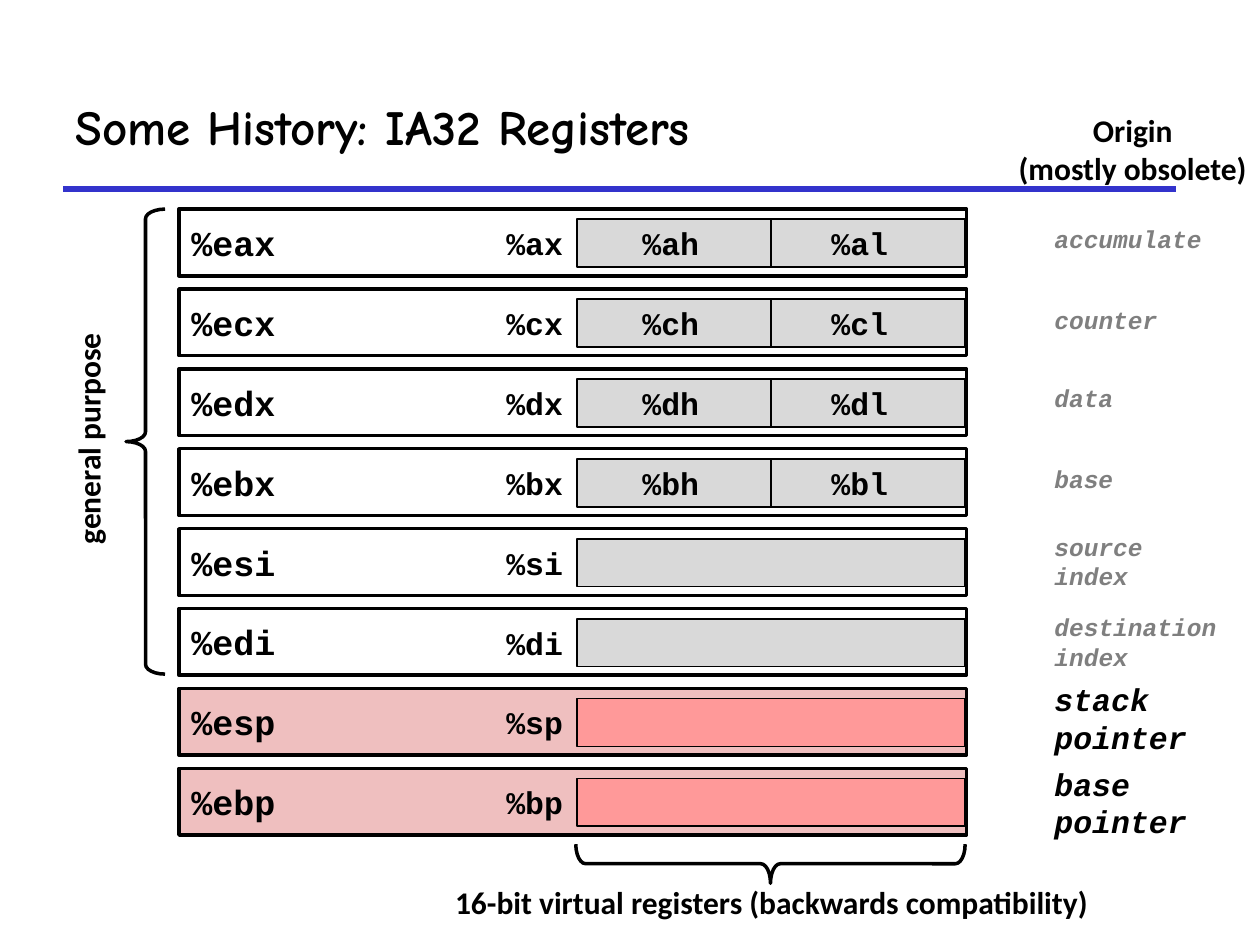
"""Builds the slide on the history of the IA32 registers."""
from lxml.etree import SubElement
from pptx import Presentation
from pptx.dml.color import RGBColor
from pptx.enum.shapes import MSO_CONNECTOR, MSO_SHAPE
from pptx.enum.text import MSO_ANCHOR, MSO_AUTO_SIZE, PP_ALIGN
from pptx.oxml.ns import qn
from pptx.util import Inches, Pt

COLORS = {
    "black": "000000", "white": "FFFFFF", "rule": "3333CC", "muted": "7F7F7F",
    "grey": "D9D9D9", "pink": "EFBFBF", "red": "FF9999",
}
TITLE, SANS, MONO = "Comic Neue", "Calibri", "Courier New"
ROW_TOP, ROW_STEP, ROW_H = 1.66, 0.634, 0.53
LOW_X, LOW_W, LOW_H = 4.58, 3.08, 0.38

REGISTERS = [
    ("%eax", "%ax", ("%ah", "%al"), ["accumulate"], 1.73, 1.37),
    ("%ecx", "%cx", ("%ch", "%cl"), ["counter"], 2.37, 1.02),
    ("%edx", "%dx", ("%dh", "%dl"), ["data"], 2.99, 0.67),
    ("%ebx", "%bx", ("%bh", "%bl"), ["base"], 3.63, 0.67),
    ("%esi", "%si", (), ["source", "index"], 4.17, 1.02),
    ("%edi", "%di", (), ["destination", "index"], 4.81, 1.49),
    ("%esp", "%sp", (), ["stack", "pointer"], 5.35, 1.25),
    ("%ebp", "%bp", (), ["base", "pointer"], 6.02, 1.25),
]


def rgb(name):
    return RGBColor.from_string(COLORS[name])


def write(tf, lines, size, font=MONO, color="black", italic=None, align=PP_ALIGN.LEFT):
    for i, line in enumerate(lines):
        p = tf.paragraphs[0] if i == 0 else tf.add_paragraph()
        p.alignment = align
        r = p.add_run()
        r.text = line
        r.font.name, r.font.size = font, Pt(size)
        r.font.bold, r.font.italic = True, italic
        r.font.color.rgb = rgb(color)


def add_label(s, x, y, w, h, lines, size=18, **style):
    sp = s.shapes.add_textbox(Inches(x), Inches(y), Inches(w), Inches(h))
    tf = sp.text_frame
    tf.word_wrap = False
    tf.auto_size = MSO_AUTO_SIZE.SHAPE_TO_FIT_TEXT
    write(tf, lines, size, **style)
    return sp


def add_title(s, text):
    sp = s.shapes.add_textbox(Inches(0.5), Inches(0.5), Inches(8.83), Inches(1))
    tf = sp.text_frame
    tf.word_wrap = True
    tf.vertical_anchor = MSO_ANCHOR.MIDDLE
    write(tf, [text], 28, font=TITLE)


def add_shape(s, kind, x, y, w, h, width, fill=None):
    sp = s.shapes.add_shape(kind, Inches(x), Inches(y), Inches(w), Inches(h))
    sp.shadow.inherit = False
    if fill:
        sp.fill.solid()
        sp.fill.fore_color.rgb = rgb(fill)
    else:
        sp.fill.background()
    sp.line.color.rgb = rgb("black")
    sp.line.width = Pt(width)
    return sp


def add_brace(s, kind, x, y, w, h, rotation=0):
    sp = add_shape(s, kind, x, y, w, h, 2)
    sp.adjustments[0], sp.adjustments[1] = 0.25, 0.5
    sp.rotation = rotation


def add_line(s, x1, y1, x2, y2, color, width):
    line = s.shapes.add_connector(
        MSO_CONNECTOR.STRAIGHT, Inches(x1), Inches(y1), Inches(x2), Inches(y2))
    line.line.color.rgb = rgb(color)
    line.line.width = Pt(width)
    SubElement(line._element.spPr, qn("a:effectLst"))
    return line


def add_register(s, row, name, low_name, halves, origin, origin_y, origin_w):
    special = row >= 6
    y = ROW_TOP + row * ROW_STEP
    low_y, label_y = y + 0.08, y + 0.07
    full = add_shape(s, MSO_SHAPE.RECTANGLE, 1.42, y, 6.25, ROW_H, 2,
                     "pink" if special else "white")
    full.text_frame.word_wrap = False
    full.text_frame.vertical_anchor = MSO_ANCHOR.MIDDLE
    write(full.text_frame, [name], 20)
    low = add_shape(s, MSO_SHAPE.RECTANGLE, LOW_X, low_y, LOW_W, LOW_H, 1,
                    "red" if special else "grey")
    if halves:
        middle = LOW_X + LOW_W / 2
        divider = add_line(s, middle, low_y, middle, low_y + LOW_H, "black", 1)
        divider.begin_connect(low, 0)
        divider.end_connect(low, 2)
    for x, text in zip((3.92, 5, 6.5), (low_name, *halves)):
        add_label(s, x, label_y, 0.65, 0.4, [text])
    size, color = (18, "black") if special else (14, "muted")
    height = 0.1 + len(origin) * size / 60
    add_label(s, 8.27, origin_y, origin_w, height, origin, size, color=color, italic=True)


def main():
    prs = Presentation()
    prs.slide_width, prs.slide_height = Inches(10), Inches(7.5)
    s = prs.slides.add_slide(prs.slide_layouts[6])
    add_line(s, 0.5, 1.5, 9.33, 1.5, "rule", 3)
    add_title(s, "Some History: IA32 Registers")
    for row, register in enumerate(REGISTERS):
        add_register(s, row, *register)
    add_brace(s, MSO_SHAPE.RIGHT_BRACE, 5.96, 5.31, 0.31, 3.09, 90)
    add_label(s, 3.5, 6.96, 5.25, 0.4, ["16-bit virtual registers (backwards compatibility)"],
              font=SANS, align=PP_ALIGN.CENTER)
    add_brace(s, MSO_SHAPE.LEFT_BRACE, 1, 1.66, 0.31, 3.69)
    add_label(s, -0.24, 3.28, 1.88, 0.4, ["general purpose"], font=SANS).rotation = 270
    add_label(s, 7.98, 0.83, 2.02, 0.7, ["Origin", "(mostly obsolete)"],
              font=SANS, align=PP_ALIGN.CENTER)
    prs.save("out.pptx")


if __name__ == "__main__":
    main()
